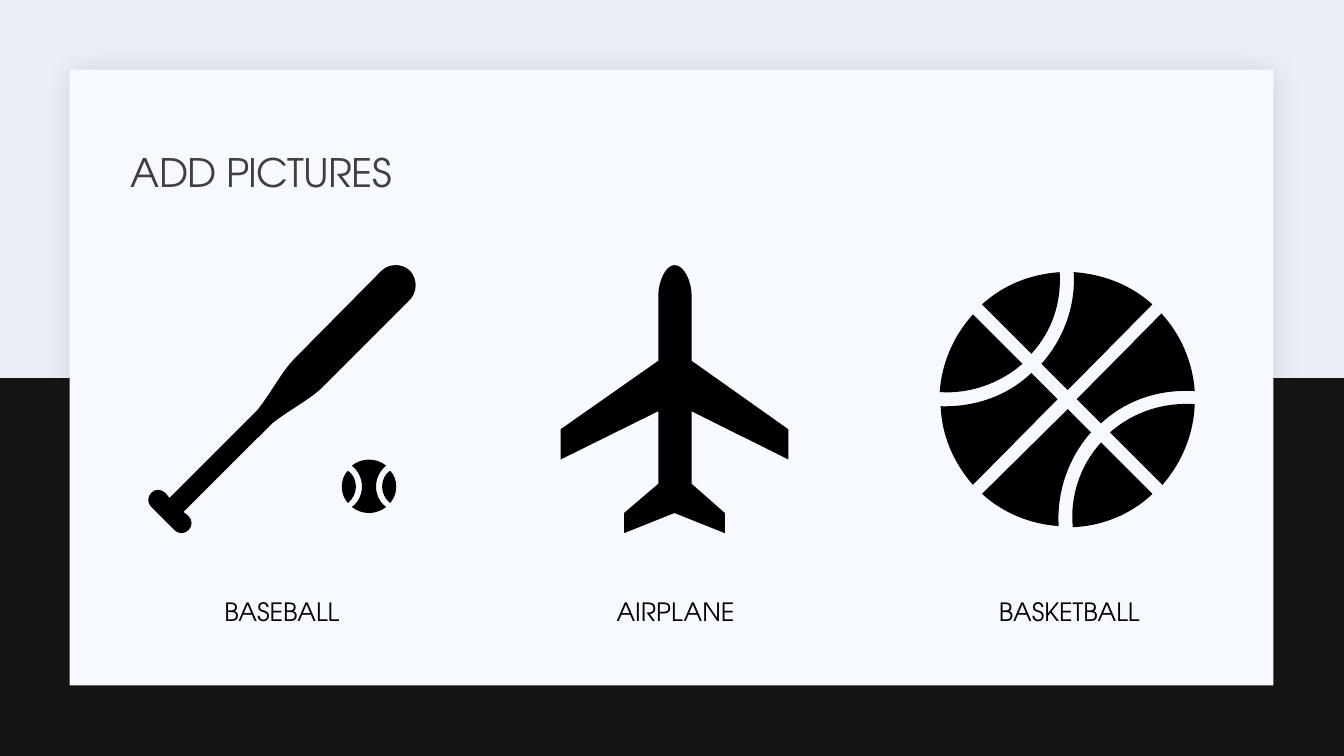
"""Build a slide with three sports and travel icons on a raised card."""
import lxml.etree
import pptx
import pptx.dml.color
import pptx.enum.shapes
import pptx.enum.text
import pptx.oxml.ns
import pptx.util

Inches = pptx.util.Inches
RGB = pptx.dml.color.RGBColor.from_string
ALIGN = pptx.enum.text.PP_ALIGN
RECT = pptx.enum.shapes.MSO_SHAPE.RECTANGLE
THEME = {
    "font": "TeX Gyre Adventor",
    "back": "EDEFF7", "band": "141514", "card": "F6F9FF", "shade": "1F2125",
    "title": "404040", "ink": "000000",
    "head": 28, "label": 18,
}
qn = pptx.oxml.ns.qn
add = lxml.etree.SubElement

PLANE = [
    [(7.82, 4.56), (7.82, 4.26), (6.86, 3.58), (6.86, 2.93),
     (6.86, 2.8, 6.79, 2.63, 6.69, 2.63), (6.6, 2.63, 6.53, 2.8, 6.53, 2.93),
     (6.53, 3.58), (5.56, 4.26), (5.56, 4.56), (6.53, 4.08), (6.53, 4.8),
     (6.19, 5.09), (6.19, 5.29), (6.69, 5.09), (7.19, 5.29), (7.19, 5.09),
     (6.86, 4.8), (6.86, 4.08), (7.82, 4.56)],
]
HOOP = [
    [(10.23, 3.51), (10.44, 3.28, 10.53, 2.99, 10.51, 2.7),
     (10.23, 2.72, 9.96, 2.82, 9.74, 3.02), (10.23, 3.51)],
    [(11.01, 4.29), (11.53, 4.81), (11.73, 4.58, 11.84, 4.3, 11.85, 4.01),
     (11.55, 3.99, 11.25, 4.08, 11.01, 4.29)],
    [(10.59, 3.87), (11.43, 3.02), (11.21, 2.82, 10.93, 2.72, 10.65, 2.7),
     (10.67, 3.02, 10.56, 3.35, 10.33, 3.61), (10.59, 3.87)],
    [(10.68, 3.96), (10.92, 4.2), (11.18, 3.96, 11.51, 3.86, 11.85, 3.88),
     (11.83, 3.6, 11.72, 3.33, 11.52, 3.11), (10.68, 3.96)],
    [(10.92, 4.39), (10.71, 4.62, 10.61, 4.93, 10.64, 5.23),
     (10.92, 5.22, 11.21, 5.11, 11.43, 4.9), (10.92, 4.39)],
    [(10.82, 4.29), (10.59, 4.06), (9.74, 4.9),
     (9.96, 5.1, 10.23, 5.2, 10.5, 5.22),
     (10.48, 4.89, 10.59, 4.55, 10.82, 4.29)],
    [(9.65, 3.12), (9.45, 3.34, 9.34, 3.61, 9.32, 3.89),
     (9.61, 3.91, 9.91, 3.81, 10.14, 3.61), (9.65, 3.12)],
    [(10.49, 3.96), (10.23, 3.7), (9.98, 3.94, 9.65, 4.04, 9.33, 4.03),
     (9.34, 4.31, 9.45, 4.58, 9.65, 4.81), (10.49, 3.96)],
]
BAT = [
    [(1.87, 5.12), (1.82, 5.08), (2.7, 4.2),
     (2.88, 4.06, 3.08, 3.96, 3.2, 3.84), (4.07, 2.97),
     (4.14, 2.89, 4.14, 2.77, 4.07, 2.69),
     (3.99, 2.61, 3.86, 2.61, 3.78, 2.69), (2.92, 3.56),
     (2.8, 3.68, 2.7, 3.88, 2.56, 4.06), (1.68, 4.94), (1.64, 4.89),
     (1.6, 4.85, 1.53, 4.85, 1.5, 4.89), (1.46, 4.93, 1.46, 4.99, 1.5, 5.03),
     (1.73, 5.26), (1.77, 5.3, 1.83, 5.3, 1.87, 5.26),
     (1.91, 5.22, 1.91, 5.16, 1.87, 5.12)],
    [(3.87, 4.67), (3.82, 4.7, 3.79, 4.76, 3.79, 4.83),
     (3.79, 4.89, 3.82, 4.95, 3.87, 4.99),
     (3.91, 4.94, 3.93, 4.89, 3.93, 4.83),
     (3.93, 4.77, 3.91, 4.71, 3.87, 4.67)],
    [(3.45, 4.67), (3.41, 4.71, 3.39, 4.77, 3.39, 4.83),
     (3.39, 4.89, 3.41, 4.94, 3.45, 4.99),
     (3.5, 4.95, 3.53, 4.89, 3.53, 4.83),
     (3.53, 4.76, 3.5, 4.7, 3.45, 4.67)],
    [(3.73, 4.83), (3.73, 4.74, 3.77, 4.67, 3.83, 4.62),
     (3.78, 4.58, 3.72, 4.56, 3.66, 4.56),
     (3.6, 4.56, 3.54, 4.58, 3.49, 4.62),
     (3.55, 4.67, 3.59, 4.74, 3.59, 4.83),
     (3.59, 4.91, 3.55, 4.99, 3.49, 5.03),
     (3.54, 5.07, 3.6, 5.09, 3.66, 5.09),
     (3.72, 5.09, 3.78, 5.07, 3.83, 5.03),
     (3.77, 4.99, 3.73, 4.91, 3.73, 4.83)],
]


def write(text, *, box, size, color, align=ALIGN.LEFT, lead=None, track=0):
    """Add one line of text in a box."""
    frame = slide.shapes.add_textbox(*map(Inches, box)).text_frame
    frame.word_wrap = True
    frame.vertical_anchor = pptx.enum.text.MSO_ANCHOR.MIDDLE
    para = frame.paragraphs[0]
    para.alignment = align
    para.line_spacing = lead
    run = para.add_run()
    run.text = text
    run.font.name = THEME["font"]
    run.font.size = pptx.util.Pt(size)
    run.font.color.rgb = RGB(color)
    if track:
        run.font._element.set("spc", str(track))


def draw(host, outline):
    """Add a filled outline; six numbers mark a cubic curve."""
    dots = [outline[0]]
    for step in outline[1:]:
        a, d = dots[-1], step[-2:]
        if len(step) == 6:
            b, c = step[:2], step[2:4]
            for t in (0.25, 0.5, 0.75):
                dots.append(tuple(
                    (1 - t) ** 3 * a[n] + 3 * t * (1 - t) ** 2 * b[n]
                    + 3 * t * t * (1 - t) * c[n] + t ** 3 * d[n]
                    for n in (0, 1)))
        dots.append(d)
    xs, ys = zip(*dots)
    left, top = Inches(min(xs)), Inches(min(ys))
    pen = host.build_freeform(left, top, scale=1.0)
    pen.add_line_segments([(Inches(max(xs)), Inches(max(ys)))])
    shape = pen.convert_to_shape()
    route = next(shape._element.iter(qn("a:path")))
    for node in list(route):
        route.remove(node)
    for i, step in enumerate(outline):
        kind = "cubicBezTo" if len(step) == 6 else "lnTo" if i else "moveTo"
        node = add(route, qn("a:" + kind))
        for x, y in zip(step[::2], step[1::2]):
            add(node, qn("a:pt"), x=str(Inches(x) - left), y=str(Inches(y) - top))
    add(route, qn("a:close"))
    shape.shadow.inherit = False
    shape.fill.solid()
    shape.fill.fore_color.rgb = RGB(THEME["ink"])
    shape.line.fill.background()


deck = pptx.Presentation()
deck.slide_width, deck.slide_height = Inches(13.33), Inches(7.5)
slide = deck.slides.add_slide(deck.slide_layouts[6])
slide.background.fill.solid()
slide.background.fill.fore_color.rgb = RGB(THEME["back"])

for name, box in (("band", (0, 3.75, 13.33, 3.75)),
                  ("card", (0.69, 0.69, 11.94, 6.11))):
    panel = slide.shapes.add_shape(RECT, *map(Inches, box))
    panel.shadow.inherit = False
    panel.fill.solid()
    panel.fill.fore_color.rgb = RGB(THEME[name])
    panel.line.fill.background()

glow = add(
    panel._element.spPr.find(qn("a:effectLst")), qn("a:outerShdw"),
    blurRad=str(pptx.util.Pt(20)), dist=str(pptx.util.Pt(2)),
    dir=str(45 * 60000), algn="ctr", rotWithShape="0")
tint = add(glow, qn("a:srgbClr"), val=THEME["shade"])
add(tint, qn("a:alpha"), val="15000")

write("ADD PICTURES", box=(1.2, 1.03, 11, 1.41), size=THEME["head"],
      color=THEME["title"], lead=0.9, track=-50)

pitch = (9.01 - 1.2) / 2
icons = (("BASEBALL", BAT), ("AIRPLANE", PLANE), ("BASKETBALL", HOOP))
for i, (label, parts) in enumerate(icons):
    host = slide.shapes
    if len(parts) > 1:
        host = host.add_group_shape().shapes
    for part in parts:
        draw(host, part)
    write(label, box=(1.2 + i * pitch, 5.75, 3.19, 0.64),
          size=THEME["label"], color=THEME["ink"], align=ALIGN.CENTER)

deck.save("out.pptx")
